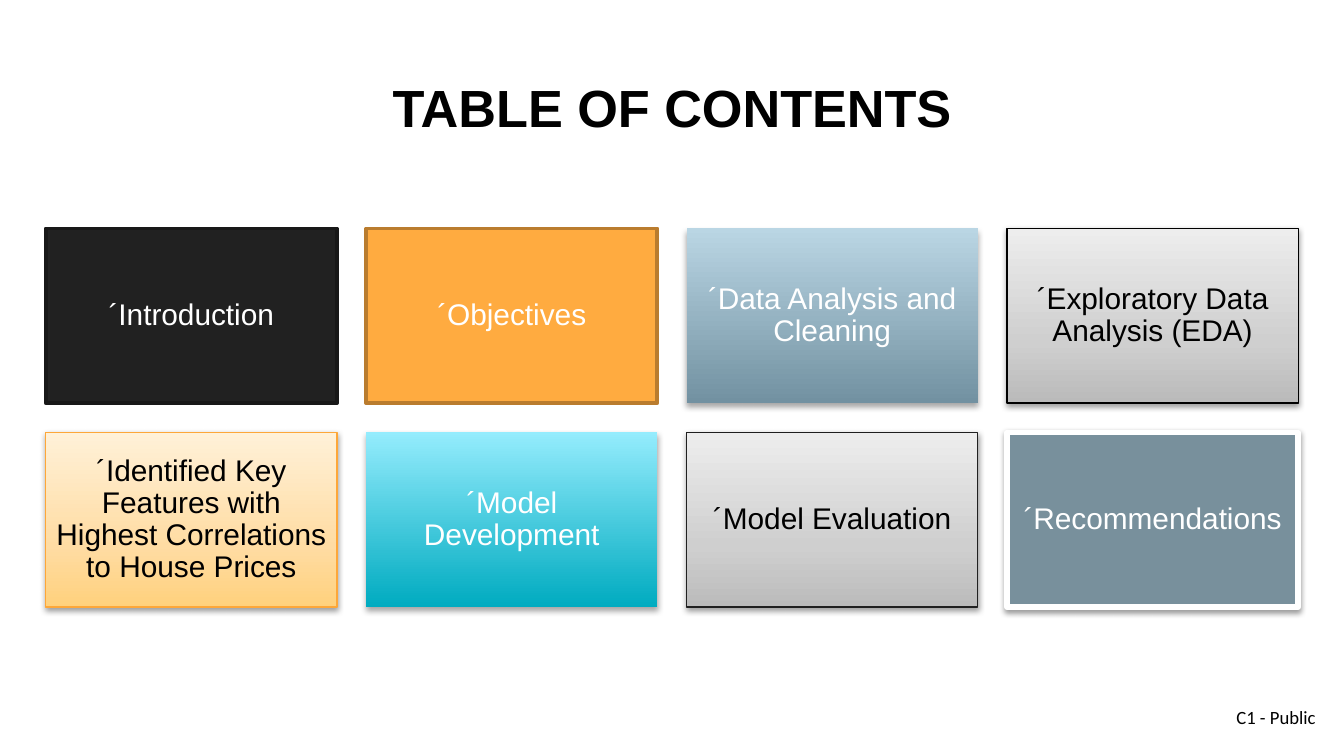
from lxml import etree
from pptx import Presentation, util as u
from pptx.dml.color import RGBColor
from pptx.enum import shapes, text
from pptx.oxml import ns

LIGHT = [(35, "CFCFCF"), (100, "EDEDED")]  # upper stops of the gray cards
SOFT = (38, 1.6)  # shadow opacity in percent, distance in points
DEEP = (35, 1.8)

# label, text colour, fill (hex or gradient stops), line, shadow
CARDS = [
    ("´Introduction", "FFFFFF", "212121", ("181818", 2), None),
    ("´Objectives", "FFFFFF", "FFAB40", ("BA7C2E", 2), None),
    ("´Data Analysis and Cleaning", "FFFFFF",
     [(0, "7291A1"), (100, "BAD6E4")], None, DEEP),
    ("´Exploratory Data Analysis (EDA)", "000000",
     [(0, "BABABA"), *LIGHT], ("000000", 0.75), SOFT),
    ("´Identified Key Features with Highest Correlations to House Prices", "000000",
     [(0, "FFD17D"), (35, "FFDCA3"), (100, "FFF1D8")], ("FDA739", 0.75), SOFT),
    ("´Model Development", "FFFFFF",
     [(0, "00ABC0"), (100, "94ECFD")], None, DEEP),
    ("´Model Evaluation", "000000",
     [(0, "BBBBBB"), *LIGHT], ("202020", 0.75), SOFT),
    ("´Recommendations", "FFFFFF", "78909C", ("FFFFFF", 3), SOFT),
]


def color(code):
    return RGBColor.from_string(code)


def add_xml(parent, tag, **attrs):
    node = etree.SubElement(parent, ns.qn(tag))
    for key, val in attrs.items():
        node.set(key, str(val))
    return node


def write(slide, box, words, hue, size, pad, face="Arial", bold=False, wrap=True,
          align=text.PP_ALIGN.CENTER, anchor=text.MSO_ANCHOR.MIDDLE, lead=0.9):
    frame = slide.shapes.add_textbox(*map(u.Inches, box)).text_frame
    edge = u.Inches(pad)
    para = frame.paragraphs[0]
    run = para.add_run()
    run.text = words
    formats = [
        (frame, {"word_wrap": wrap, "vertical_anchor": anchor,
                 "margin_left": edge, "margin_right": edge,
                 "margin_top": edge, "margin_bottom": edge}),
        (para, {"alignment": align, "line_spacing": lead}),
        (run.font, {"name": face, "size": u.Pt(size), "bold": bold}),
    ]
    for part, values in formats:
        for key, val in values.items():
            setattr(part, key, val)
    run.font.color.rgb = color(hue)


def paint(shape, fill):
    if isinstance(fill, str):
        shape.fill.solid()
        shape.fill.fore_color.rgb = color(fill)
        return
    # Gradient running from the bottom edge to the top
    shape.fill.gradient()
    shape.fill.gradient_angle = 90
    stops = shape.element.spPr.find(".//" + ns.qn("a:gsLst"))
    for old in list(stops):
        stops.remove(old)
    for pos, code in fill:
        stop = add_xml(stops, "a:gs", pos=pos * 1000)
        add_xml(stop, "a:srgbClr", val=code)


def shade(shape, shadow):
    shape.shadow.inherit = False
    if shadow:
        alpha, dist = shadow
        effects = shape.element.spPr.find(ns.qn("a:effectLst"))
        outer = add_xml(effects, "a:outerShdw", blurRad=u.Pt(3.1), dist=u.Pt(dist),
                        dir=90 * 60000, rotWithShape=0)
        add_xml(add_xml(outer, "a:srgbClr", val="000000"), "a:alpha", val=alpha * 1000)


def card(slide, box, label, hue, fill, line, shadow):
    shape = slide.shapes.add_shape(shapes.MSO_SHAPE.RECTANGLE, *map(u.Inches, box))
    paint(shape, fill)
    if line:
        shape.line.color.rgb = color(line[0])
        shape.line.width = u.Pt(line[1])
    else:
        shape.line.fill.background()
    shade(shape, shadow)
    write(slide, box, label, hue, 16, 0.07)


def grid(slide, box, cols=4, ratio=0.6):
    # Card height is a fixed share of its width; the gaps are a tenth of it
    left, top, width = box
    wide = width / (cols + 0.1 * (cols - 1))
    high, gap = wide * ratio, wide * 0.1
    for i, item in enumerate(CARDS):
        row, col = divmod(i, cols)
        spot = (left + col * (wide + gap), top + row * (high + gap), wide, high)
        card(slide, spot, *item)


def title(slide, box):
    write(slide, box, "TABLE OF CONTENTS", "000000", 28, 0.1, bold=True)


def footer(slide, box):
    write(slide, box, "C1 - Public", "000000", 10, 0, face="Calibri", wrap=False,
          align=text.PP_ALIGN.LEFT, anchor=text.MSO_ANCHOR.TOP, lead=1.0)


def main():
    deck = Presentation()
    # Widescreen, 16 to 9
    deck.slide_width, deck.slide_height = u.Inches(10), u.Inches(10 * 9 / 16)
    slide = deck.slides.add_slide(deck.slide_layouts[6])
    footer(slide, (9.2, 5.25, 0.62, 0.17))
    title(slide, (0.34, 0.51, 9.32, 0.63))
    grid(slide, (0.34, 1.7, 9.32))
    deck.save("out.pptx")


if __name__ == "__main__":
    main()
